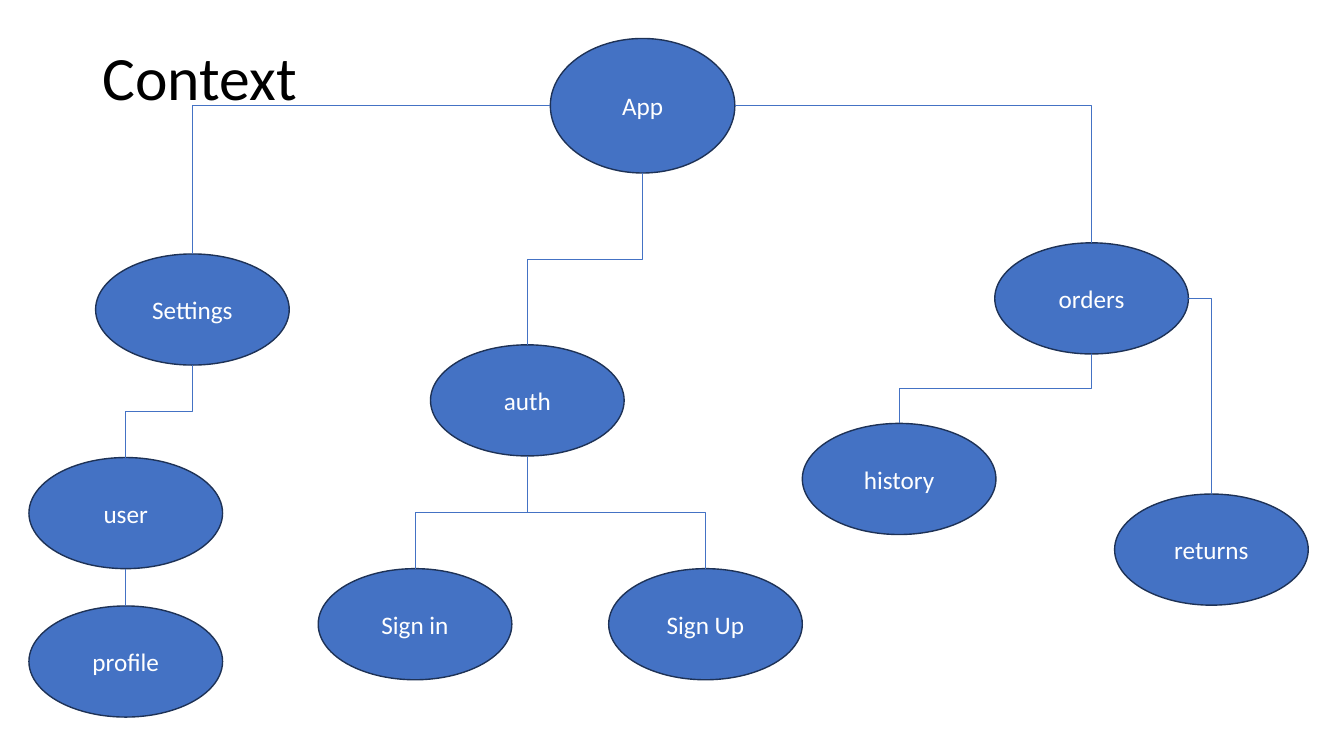
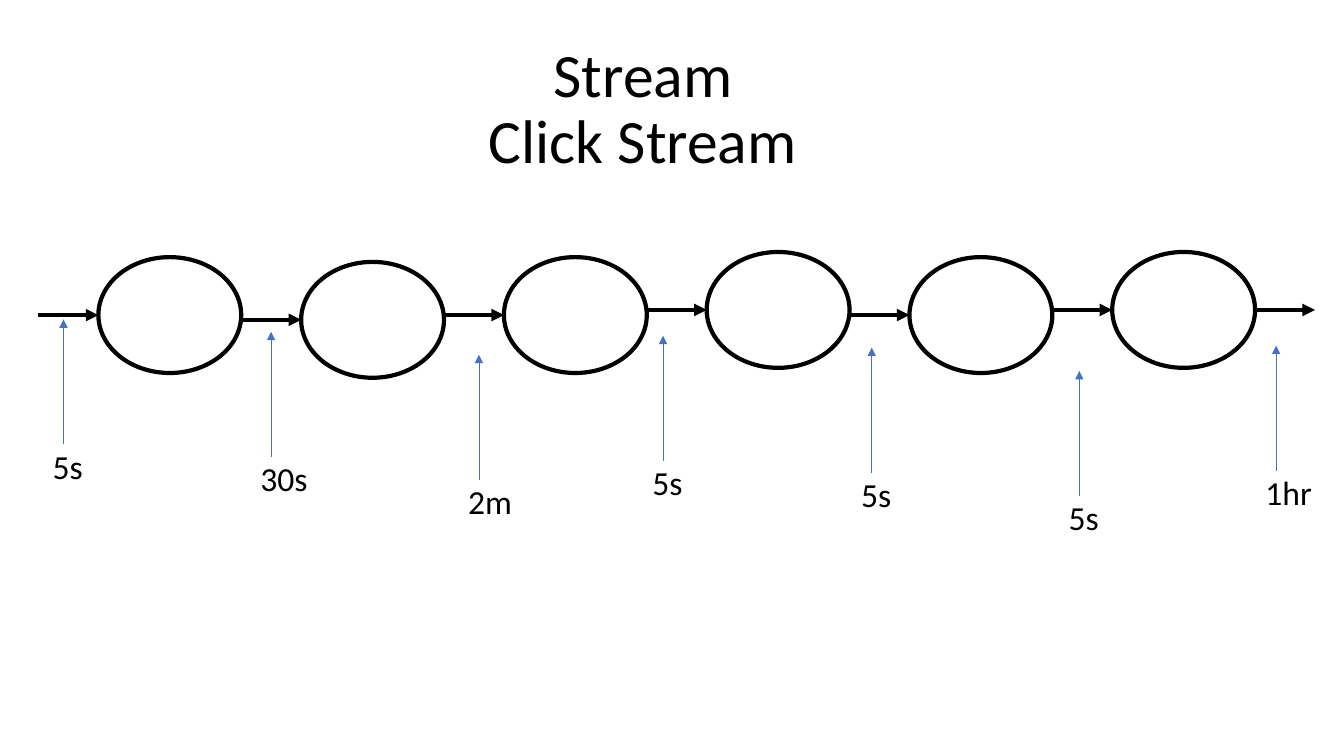
from pptx import Presentation
from pptx.dml.color import RGBColor
from pptx.enum.shapes import MSO_CONNECTOR as Line, MSO_SHAPE as Preset
from pptx.enum.text import MSO_ANCHOR as Anchor, MSO_AUTO_SIZE as AutoSize, PP_ALIGN as Align
from pptx.oxml.ns import qn
from pptx.oxml.xmlchemy import OxmlElement
from pptx.util import Cm, Pt

COLORS = {"blue": "4472C4", "navy": "1E3256", "black": "000000", "white": "FFFFFF"}
FONT = "Calibri"
SITES = {"top": 0, "left": 2, "bottom": 4, "right": 6}


def assign(target, values):
    for name, value in values.items():
        setattr(target, name, value)


def color(name):
    return RGBColor.from_string(COLORS[name])


class Deck:
    def __init__(self):
        self.presentation = Presentation()
        assign(self.presentation, {"slide_width": Cm(33.87), "slide_height": Cm(19.05)})
        self.slide = None

    def add_slide(self, title, box, align=Align.LEFT):
        self.slide = self.presentation.slides.add_slide(self.presentation.slide_layouts[5])
        shape = self.slide.shapes.title
        assign(shape, dict(zip(("left", "top", "width", "height"), map(Cm, box))))
        self.set_text(shape, title, 44, "black", align, auto_size=AutoSize.NONE,
                      vertical_anchor=Anchor.MIDDLE, word_wrap=True)
        shape.text_frame.paragraphs[0].line_spacing = 0.9

    def set_text(self, shape, text, size, ink, align, **frame_format):
        frame = shape.text_frame
        frame.text = text
        assign(frame, frame_format)
        paragraph = frame.paragraphs[0]
        paragraph.alignment = align
        for run in paragraph.runs:
            assign(run.font, {"name": FONT, "size": Pt(size)})
            run.font.color.rgb = color(ink)

    def outline(self, item, ink, width):
        item.line.color.rgb = color(ink)
        item.line.width = Pt(width)

    def oval(self, box, ink, width, fill=None, preset=Preset.OVAL):
        shape = self.slide.shapes.add_shape(preset, *map(Cm, box))
        shape.shadow.inherit = False
        if fill:
            shape.fill.solid()
            shape.fill.fore_color.rgb = color(fill)
        else:
            shape.fill.background()
        self.outline(shape, ink, width)
        return shape

    def node(self, text, box, preset=Preset.OVAL):
        shape = self.oval(box, "navy", 1, "blue", preset)
        self.set_text(shape, text, 18, "white", Align.CENTER, vertical_anchor=Anchor.MIDDLE)
        return shape

    def label(self, text, box):
        shape = self.slide.shapes.add_textbox(*map(Cm, box))
        self.set_text(shape, text, 24, "black", Align.LEFT, word_wrap=False,
                      auto_size=AutoSize.SHAPE_TO_FIT_TEXT)

    def connector(self, kind, points, ink, width):
        connector = self.slide.shapes.add_connector(kind, *points)
        self.outline(connector, ink, width)
        connector._element.spPr.append(OxmlElement("a:effectLst"))
        return connector

    def arrow(self, points, ink, width):
        connector = self.connector(Line.STRAIGHT, map(Cm, points), ink, width)
        head = OxmlElement("a:tailEnd")
        head.set("type", "triangle")
        connector._element.spPr.find(qn("a:ln")).append(head)

    def branch(self, parent, child, side):
        middle = parent.left + parent.width // 2
        start_x, start_y = {
            "left": (parent.left, parent.top + parent.height // 2),
            "right": (parent.left + parent.width, parent.top + parent.height // 2),
            "bottom": (middle, parent.top + parent.height),
        }[side]
        end_x, end_y = child.left + child.width // 2, child.top
        points = start_x, start_y, end_x, end_y
        if side == "bottom":
            center_x, center_y = (start_x + end_x) // 2, (start_y + end_y) // 2
            half_run, half_drop = (end_x - start_x) // 2, (end_y - start_y) // 2
            points = (center_x - half_drop, center_y + half_run,
                      center_x + half_drop, center_y - half_run)
        connector = self.connector(Line.ELBOW, points, "blue", 0.5)
        properties = connector._element.spPr
        if side == "bottom":
            properties.find(qn("a:xfrm")).set("rot", "5400000")
        else:
            properties.find(qn("a:prstGeom")).set("prst", "bentConnector2")
        links = connector._element.nvCxnSpPr.cNvCxnSpPr
        for link, shape, site in ((links.get_or_add_stCxn(), parent, side),
                                  (links.get_or_add_endCxn(), child, "top")):
            assign(link, {"id": shape.shape_id, "idx": SITES[site]})


def build_context(deck):
    deck.add_slide("Context", (2.33, 1.02, 28.2, 2))
    nodes = {"App": deck.node("App", (13.87, 0.97, 4.65, 3.39), Preset.FLOWCHART_CONNECTOR)}
    places = {
        "orders": (25.07, 6.12), "auth": (10.85, 8.69), "Settings": (2.41, 6.4),
        "user": (0.73, 11.53), "profile": (0.73, 15.27), "Sign in": (8.02, 14.33),
        "Sign Up": (15.34, 14.33), "history": (20.22, 10.67), "returns": (28.09, 12.45),
    }
    for name, place in places.items():
        nodes[name] = deck.node(name, (*place, 4.88, 2.8))
    for parent, child, side in (
        ("App", "auth", "bottom"), ("App", "Settings", "left"), ("App", "orders", "right"),
        ("Settings", "user", "bottom"), ("user", "profile", "bottom"),
        ("auth", "Sign in", "bottom"), ("auth", "Sign Up", "bottom"),
        ("orders", "history", "bottom"), ("orders", "returns", "right"),
    ):
        deck.branch(nodes[parent], nodes[child], side)


def build_stream(deck):
    deck.add_slide("Stream\vClick Stream", (1.6, 0.94, 29.21, 3.68), Align.CENTER)
    first, pitch, width, height, gap = 2.48, 5.11, 3.6, 2.92, 1.51
    tops = (6.48, 6.6, 6.48, 6.35, 6.48, 6.35)
    for index, top in enumerate(tops):
        left, middle = first + index * pitch, top + height / 2
        deck.arrow((left - gap, middle, left, middle), "black", 3)
        deck.oval((left, top, width, height), "black", 3)
    end = left + width
    deck.arrow((end, middle, end + gap, middle), "black", 3)
    for text, x, tip, label_width in (
        ("5s", 1.6, 8.05, 1.27), ("30s", 6.83, 8.36, 1.7), ("2m", 12.07, 8.94, 1.63),
        ("5s", 16.71, 8.46, 1.27), ("5s", 21.97, 8.76, 1.27), ("5s", 27.2, 9.35, 1.27),
        ("1hr", 32.16, 8.71, 1.7),
    ):
        deck.arrow((x, tip + 3.15, x, tip), "blue", 0.5)
        deck.label(text, (x - 0.52, tip + 3.05, label_width, 1.27))


deck = Deck()
build_context(deck)
build_stream(deck)
deck.presentation.save("out.pptx")
